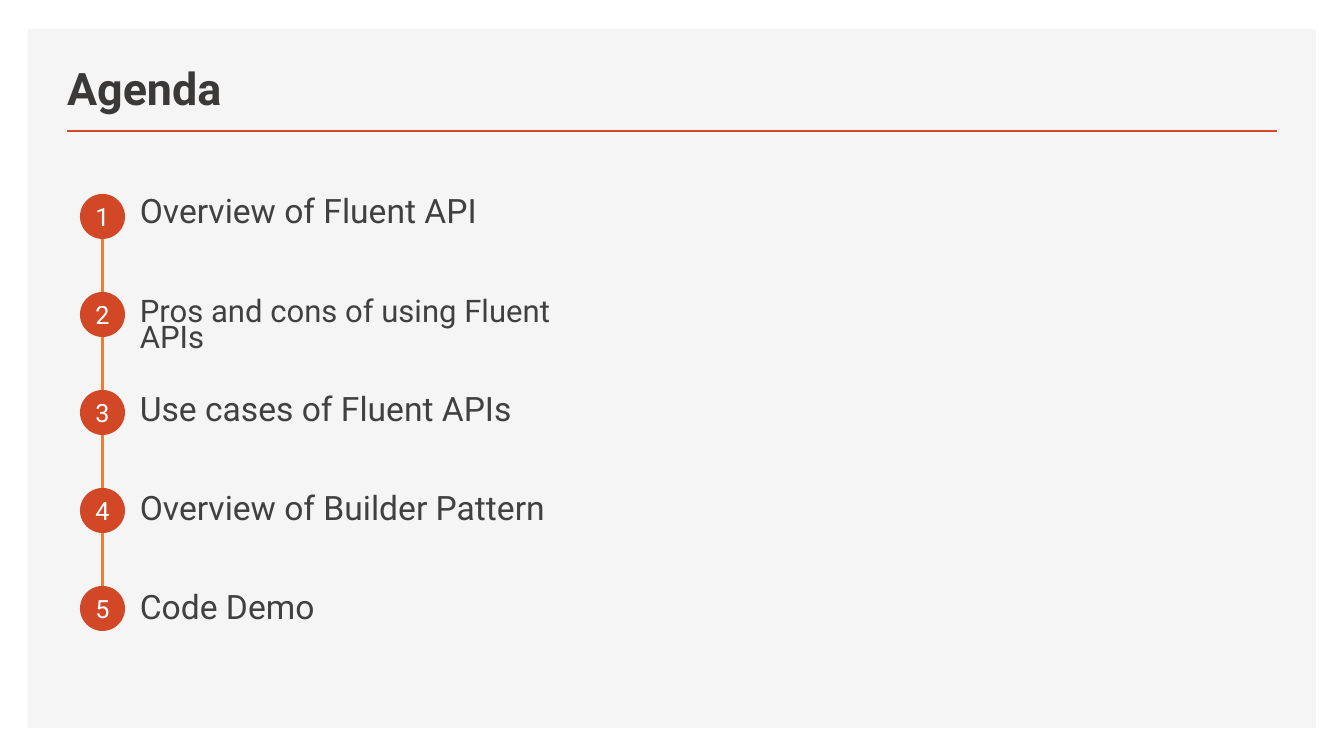
"""Build the agenda slide: a titled panel with five numbered steps."""
from dataclasses import dataclass
from itertools import pairwise

from lxml.etree import SubElement
from pptx import Presentation
from pptx.dml.color import RGBColor
from pptx.enum.shapes import MSO_CONNECTOR, MSO_SHAPE
from pptx.enum.text import MSO_ANCHOR, PP_ALIGN
from pptx.oxml.ns import qn
from pptx.util import Emu, Pt

TITLE = "Agenda"
ITEMS = [
    ("Overview of Fluent API", 24),
    ("Pros and cons of using Fluent APIs", 22.2),
    ("Use cases of Fluent APIs", 24),
    ("Overview of Builder Pattern", 24),
    ("Code Demo", 24),
]

SLIDE = (1344, 756)
PANEL = (28, 29, 1288, 699)
HEAD = (57, 49, 758, 71)
RULE = (67, 131, 1277, 131)
DOT_X, DOT_Y, DOT, DOT_STEP = 80, 194, 45, 98
TEXT_X, TEXT_Y, TEXT_W, TEXT_H, TEXT_STEP = 130, 200, 497, 45, 99


@dataclass(frozen=True)
class Theme:
    font: str = "Roboto"
    panel: str = "F5F5F5"
    accent: str = "D24726"
    link: str = "ED7D31"
    head: str = "3B3838"
    body: str = "404040"
    white: str = "FFFFFF"
    head_size: float = 32
    dot_size: float = 18


THEME = Theme()


def px(*nums):
    return [Emu(round(n * 914400 / 100.8)) for n in nums]


def style(par, size, color, bold=False):
    par.font.name = THEME.font
    par.font.size = Pt(size)
    par.font.bold = bold
    par.font.color.rgb = RGBColor.from_string(color)


def add_fill(slide, kind, box, color):
    shape = slide.shapes.add_shape(kind, *px(*box))
    shape.shadow.inherit = False
    shape.fill.solid()
    shape.fill.fore_color.rgb = RGBColor.from_string(color)
    shape.line.fill.background()
    return shape


def add_line(slide, ends, color, width):
    line = slide.shapes.add_connector(MSO_CONNECTOR.STRAIGHT, *px(*ends))
    line.line.color.rgb = RGBColor.from_string(color)
    line.line.width = Pt(width)
    SubElement(line.element.spPr, qn("a:effectLst"))


def add_head(slide):
    title = slide.shapes.title
    title.left, title.top, title.width, title.height = px(*HEAD)
    title.text_frame.text = TITLE
    title.text_frame.vertical_anchor = MSO_ANCHOR.BOTTOM
    par = title.text_frame.paragraphs[0]
    par.alignment = PP_ALIGN.LEFT
    style(par, THEME.head_size, THEME.head, True)
    title.element.getparent().append(title.element)


def add_dot(slide, num, top):
    dot = add_fill(slide, MSO_SHAPE.OVAL, (DOT_X, top, DOT, DOT), THEME.accent)
    frame = dot.text_frame
    frame.margin_left = frame.margin_right = 0
    frame.margin_top = frame.margin_bottom = 0
    frame.vertical_anchor = MSO_ANCHOR.MIDDLE
    frame.text = str(num)
    par = frame.paragraphs[0]
    par.alignment = PP_ALIGN.CENTER
    style(par, THEME.dot_size, THEME.white)


def add_item(slide, text, size, top):
    box = slide.shapes.add_textbox(*px(TEXT_X, top, TEXT_W, TEXT_H))
    box.text_frame.word_wrap = True
    box.text_frame.text = text
    par = box.text_frame.paragraphs[0]
    par.line_spacing = Pt(18)
    par.space_before = Pt(10)
    par.space_after = Pt(6)
    style(par, size, THEME.body)


def main():
    deck = Presentation()
    deck.slide_width, deck.slide_height = px(*SLIDE)
    slide = deck.slides.add_slide(deck.slide_layouts[5])
    add_fill(slide, MSO_SHAPE.RECTANGLE, PANEL, THEME.panel)
    add_line(slide, RULE, THEME.accent, 2)
    add_head(slide)

    tops = [DOT_Y + i * DOT_STEP for i in range(len(ITEMS))]
    for i, (text, size) in enumerate(ITEMS):
        add_dot(slide, i + 1, tops[i])
        add_item(slide, text, size, TEXT_Y + i * TEXT_STEP)
    mid = DOT_X + DOT / 2
    for top, low in pairwise(tops):
        add_line(slide, (mid, top + DOT, mid, low), THEME.link, 1.5)
    deck.save("out.pptx")


if __name__ == "__main__":
    main()
